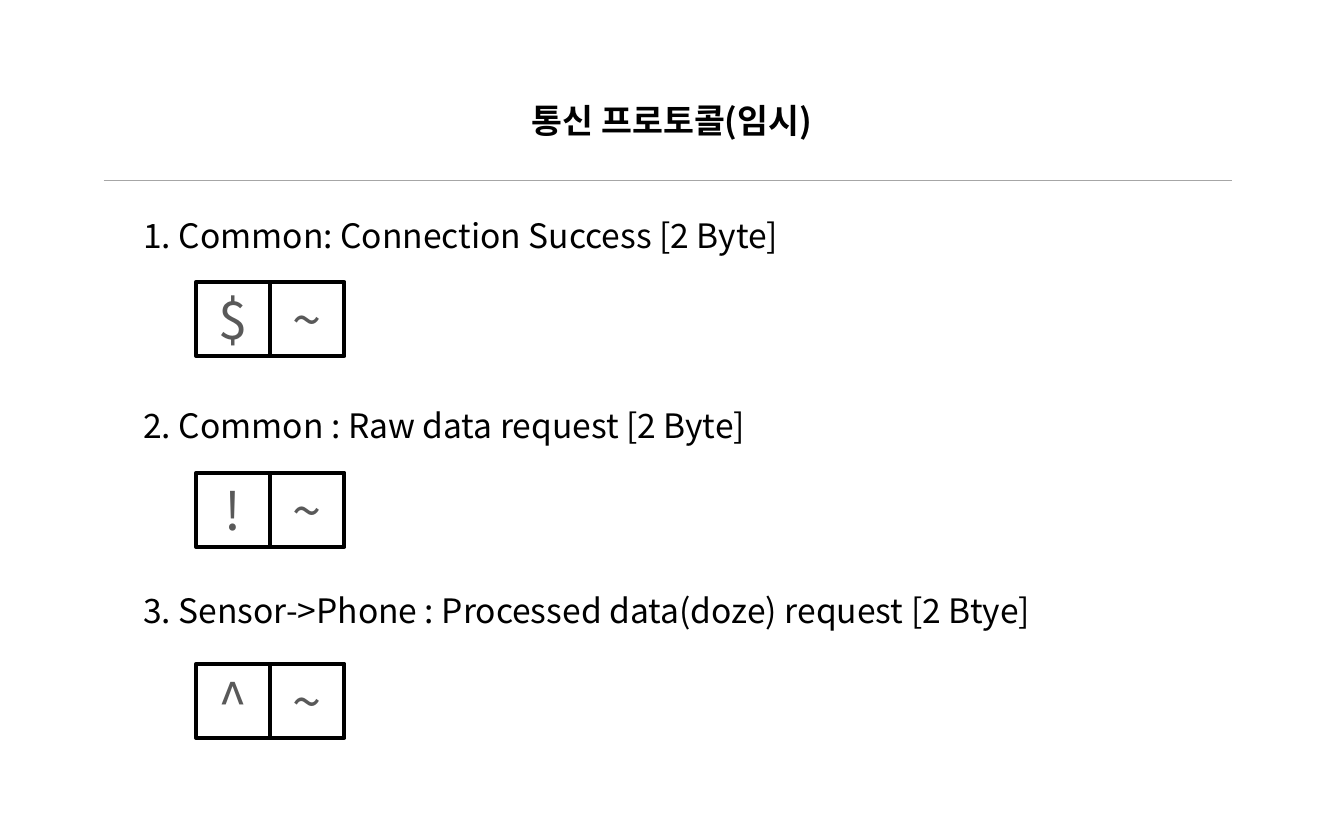
from lxml import etree
from pptx import Presentation
from pptx.dml.color import RGBColor
from pptx.enum.shapes import MSO_CONNECTOR, MSO_SHAPE
from pptx.enum.text import MSO_ANCHOR, MSO_AUTO_SIZE, PP_ALIGN
from pptx.oxml.ns import qn
from pptx.util import Cm, Pt

STRAIGHT, RECTANGLE = MSO_CONNECTOR.STRAIGHT, MSO_SHAPE.RECTANGLE
MIDDLE, CENTER, LEFT = MSO_ANCHOR.MIDDLE, PP_ALIGN.CENTER, PP_ALIGN.LEFT
GROW = MSO_AUTO_SIZE.SHAPE_TO_FIT_TEXT

BLACK = RGBColor(0x00, 0x00, 0x00)
SYMBOL_GRAY = RGBColor(0x59, 0x59, 0x59)
RULE_GRAY = RGBColor(0xA6, 0xA6, 0xA6)
FONT = "Noto Sans CJK KR"

CELL = 1.4
CELL_LEFT, CELL_TOP = 3.71, 5.33
ROW_STEP = 3.61

# Heading, its top in cm, and the bytes of the packet
MESSAGES = [
    ("1. Common: Connection Success [2 Byte]", 3.94, "$~"),
    ("2. Common : Raw data request [2 Byte]", 7.54, "!~"),
    ("3. Sensor->Phone : Processed data(doze) request [2 Btye]", 11.02, "^~"),
]


def write(frame, text, size, color, align=LEFT, bold=False):
    para = frame.paragraphs[0]
    para.text = text
    para.alignment = align
    para.font.name = FONT
    para.font.size = Pt(size)
    para.font.bold = bold
    para.font.color.rgb = color
    # Hangul takes its typeface from the East Asian font
    properties = para._p.pPr.find(qn("a:defRPr"))
    etree.SubElement(properties, qn("a:ea"), typeface=FONT)
    return para


def add_title(page, text):
    box = page.shapes.add_textbox(Cm(4.6), Cm(1.57), Cm(16.2), Cm(1.5))
    frame = box.text_frame
    frame.word_wrap = True
    frame.vertical_anchor = MIDDLE
    frame.margin_left = frame.margin_right = Cm(0.2)
    frame.margin_top = frame.margin_bottom = Cm(0.1)
    write(frame, text, 18, BLACK, CENTER, bold=True).line_spacing = 0.9


def add_rule(page):
    rule = page.shapes.add_connector(STRAIGHT, Cm(1.96), Cm(3.4), Cm(23.29), Cm(3.4))
    rule.line.color.rgb = RULE_GRAY
    rule.line.width = Pt(0.25)
    etree.SubElement(rule._element.spPr, qn("a:effectLst"))


def add_heading(page, text, top):
    box = page.shapes.add_textbox(Cm(2.46), Cm(top), Cm(18.39), Cm(1.03))
    box.text_frame.word_wrap = True
    box.text_frame.auto_size = GROW
    write(box.text_frame, text, 18, BLACK)


def add_packet(page, symbols, top):
    """Draw one square cell for each byte, side by side."""
    for column, symbol in enumerate(symbols):
        left = CELL_LEFT + column * CELL
        cell = page.shapes.add_shape(RECTANGLE, Cm(left), Cm(top), Cm(CELL), Cm(CELL))
        cell.shadow.inherit = False
        cell.fill.background()
        cell.line.color.rgb = BLACK
        cell.line.width = Pt(2.25)
        cell.text_frame.vertical_anchor = MIDDLE
        write(cell.text_frame, symbol, 28, SYMBOL_GRAY, CENTER)


def main():
    deck = Presentation()
    deck.slide_width, deck.slide_height = Cm(25.4), Cm(15.88)
    page = deck.slides.add_slide(deck.slide_layouts[6])
    add_rule(page)
    add_title(page, "통신 프로토콜(임시)")
    for row, (heading, heading_top, symbols) in enumerate(MESSAGES):
        add_heading(page, heading, heading_top)
        add_packet(page, symbols, CELL_TOP + row * ROW_STEP)
    deck.save("out.pptx")


if __name__ == "__main__":
    main()
